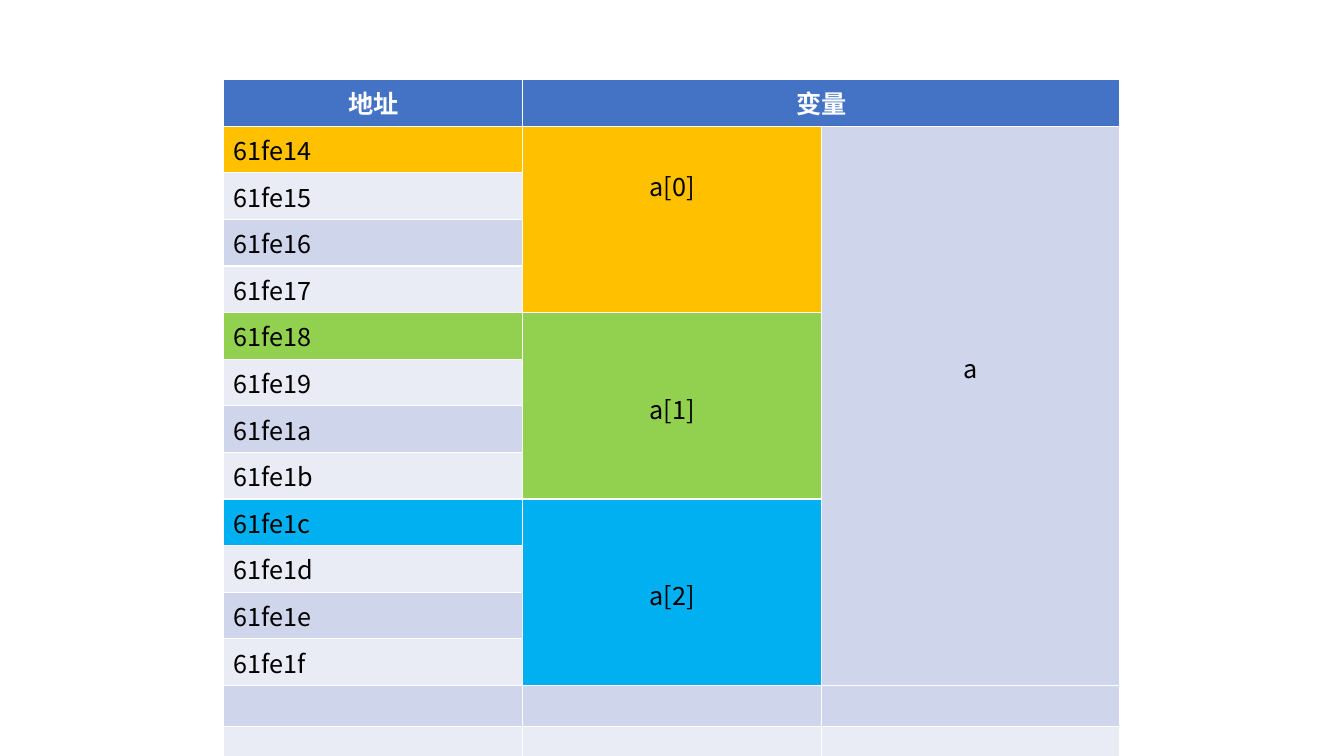
from lxml.etree import SubElement
from pptx import Presentation
from pptx.dml.color import RGBColor
from pptx.enum.text import PP_ALIGN
from pptx.oxml.ns import qn
from pptx.util import Inches, Pt

FONT = "Noto Sans CJK SC"
COLORS = {
    "head": "4472C4", "odd": "CFD5EA", "even": "E9EBF5",
    "gold": "FFC000", "green": "92D050", "blue": "00B0F0",
    "white": "FFFFFF", "black": "000000",
}
ITEMS = [("a[0]", "gold", 1), ("a[1]", "green", 2), ("a[2]", "blue", 2)]
START, SIZE = 0x61FE14, 4
ROWS, COLS = 17, 3
LINE = 0.36


def paint(cell, color):
    """Fill a cell with a named colour."""
    cell.fill.solid()
    cell.fill.fore_color.rgb = RGBColor.from_string(COLORS[color])


def write(cell, text, color="black", align=PP_ALIGN.LEFT, bold=False, drop=0):
    """Put text in a cell, lowered by a number of lines."""
    cell.text = text
    cell.margin_top = Inches(0.05 + drop * LINE)
    para = cell.text_frame.paragraphs[0]
    para.alignment = align
    font = para.font
    font.name, font.size, font.bold = FONT, Pt(18), bold
    font.color.rgb = RGBColor.from_string(COLORS[color])
    SubElement(para._p.pPr.find(qn("a:defRPr")), qn("a:ea"), typeface=FONT)


def block(table, row, col, rows, cols, text, fill, **style):
    """Merge a block of cells and give it a centred label."""
    cell = table.cell(row, col)
    if rows * cols > 1:
        cell.merge(table.cell(row + rows - 1, col + cols - 1))
    paint(cell, fill)
    write(cell, text, align=PP_ALIGN.CENTER, **style)


def add_map(slide):
    """Draw the table of addresses and variables."""
    table = slide.shapes.add_table(
        ROWS, COLS, Inches(2.22), Inches(0.79), Inches(8.89), Inches(6.83)
    ).table
    for row in range(1, ROWS):
        for col in range(COLS):
            paint(table.cell(row, col), "odd" if row % 2 else "even")

    head = {"color": "white", "bold": True}
    block(table, 0, 0, 1, 1, "地址", "head", **head)
    block(table, 0, 1, 1, 2, "变量", "head", **head)

    count = len(ITEMS) * SIZE
    for step in range(count):
        write(table.cell(1 + step, 0), f"{START + step:x}")
    for index, (name, color, drop) in enumerate(ITEMS):
        top = 1 + index * SIZE
        paint(table.cell(top, 0), color)
        block(table, top, 1, SIZE, 1, name, color, drop=drop)
    block(table, 1, 2, count, 1, "a", "odd", drop=6)


def main():
    """Build and save the slide."""
    deck = Presentation()
    deck.slide_width, deck.slide_height = Inches(13.33), Inches(7.5)
    add_map(deck.slides.add_slide(deck.slide_layouts[6]))
    deck.save("out.pptx")


if __name__ == "__main__":
    main()
